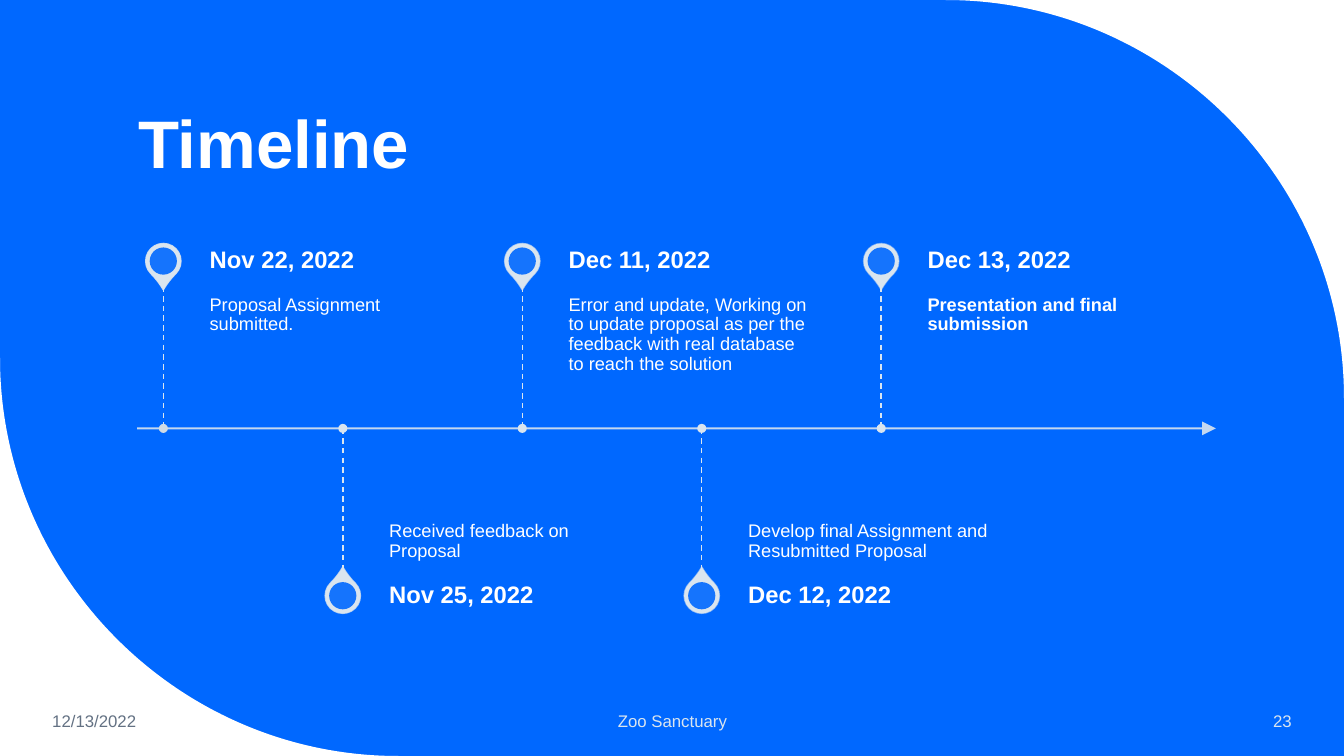
from lxml import etree
from pptx import Presentation
from pptx.dml.color import RGBColor
from pptx.enum.dml import MSO_LINE
from pptx.enum.shapes import MSO_CONNECTOR, MSO_SHAPE
from pptx.enum.text import MSO_ANCHOR, MSO_AUTO_SIZE, PP_ALIGN
from pptx.oxml.ns import qn
from pptx.util import Inches, Pt

OVAL, TEAR = MSO_SHAPE.OVAL, MSO_SHAPE.TEAR
TOP, MID, LOW = MSO_ANCHOR.TOP, MSO_ANCHOR.MIDDLE, MSO_ANCHOR.BOTTOM
LEFT, MIDST, RIGHT = PP_ALIGN.LEFT, PP_ALIGN.CENTER, PP_ALIGN.RIGHT
STRAIGHT, DASH = MSO_CONNECTOR.STRAIGHT, MSO_LINE.DASH
FIT = MSO_AUTO_SIZE.NONE

FONT = "Arial"
BLUE, WHITE, PALE, GREY, DIM = "0068FF", "FFFFFF", "DAE5EF", "637183", "D0DBE4"
WIDE, HIGH, CURVE, BEND = 13.33, 7.5, 3.95, 0.55
FIRST, STEP = 0.26, 1.78
STEM, HEAD = 1.41, 0.5

STOPS = [
    ("Nov 22, 2022", "Proposal Assignment submitted.", False),
    ("Nov 25, 2022", "Received feedback on Proposal", False),
    ("Dec 11, 2022", "Error and update, Working on to update proposal as per the "
     "feedback with real database to reach the solution", False),
    ("Dec 12, 2022", "Develop final Assignment and Resubmitted Proposal", False),
    ("Dec 13, 2022", "Presentation and final submission", True),
]


def paint(part, color, alpha=100):
    """Give a fill one solid colour, with opacity in percent."""
    part.solid()
    part.fore_color.rgb = RGBColor.from_string(color)
    if alpha < 100:
        for node in part._xPr.iter(qn("a:srgbClr")):
            etree.SubElement(node, qn("a:alpha"), val=str(alpha * 1000))


def write(shape, text, size, color, bold=False, anchor=MID, align=LEFT,
          inset=(0.1, 0.05, 0.1, 0.05), space=0.9):
    """Set the frame of a shape and add its one run."""
    frame = shape.text_frame
    frame.word_wrap, frame.auto_size = True, FIT
    frame.vertical_anchor = anchor
    (frame.margin_left, frame.margin_top,
     frame.margin_right, frame.margin_bottom) = map(Inches, inset)
    para = frame.paragraphs[0]
    para.alignment, para.line_spacing = align, space
    run = para.add_run()
    run.text = text
    run.font.name, run.font.size, run.font.bold = FONT, Pt(size), bold
    paint(run.font.fill, color)


def label(shapes, box, *args, **more):
    """Add a text box at left, top, width, height."""
    write(shapes.add_textbox(*map(Inches, box)), *args, **more)


def disc(shapes, kind, x, y, size, color, alpha=100):
    """Add a borderless shape centred on a point."""
    shape = shapes.add_shape(
        kind, Inches(x - size / 2), Inches(y - size / 2), Inches(size), Inches(size))
    shape.shadow.inherit = False
    paint(shape.fill, color, alpha)
    shape.line.fill.background()
    return shape


def rule(shapes, start, end, width, alpha=100):
    """Add a pale straight line between two points."""
    line = shapes.add_connector(STRAIGHT, *map(Inches, start + end))
    line.line.width = Pt(width)
    paint(line.line.fill, PALE, alpha)
    etree.SubElement(line._element.spPr, qn("a:effectLst"))
    return line


def corner(shapes, x, y, side):
    """Cut a round white corner at x, y; side is 1 at top right, -1 at bottom left."""
    spots = [(1, 0), (1 - BEND, 0), (0, 1 - BEND), (0, 1)]
    path = shapes.build_freeform(Inches(x), Inches(y))
    path.add_line_segments([(Inches(x - side * CURVE * across),
                             Inches(y + side * CURVE * down))
                            for across, down in spots], close=True)
    shape = path.convert_to_shape()
    steps = list(shape._element.iter(qn("a:lnTo")))[1:4]
    bow = etree.Element(qn("a:cubicBezTo"))
    steps[0].addprevious(bow)
    for step in steps:
        bow.append(step[0])
        step.getparent().remove(step)
    shape.shadow.inherit = False
    paint(shape.fill, WHITE)
    shape.line.fill.background()


def stop(shapes, x, y, index, date, note, bold):
    """Place one date at x on the axis y: even ones above, odd ones below."""
    above = index % 2 == 0
    side = -1 if above else 1
    pin_y = y + side * (STEM + HEAD / 2)
    pin = disc(shapes, TEAR, x, pin_y, 0.35, PALE)
    pin.adjustments[0] = 1.15
    pin.rotation = 135 if above else 315
    pin.line.width = Pt(1)
    paint(pin.line.fill, PALE, 90 - 10 * index)
    disc(shapes, OVAL, x, pin_y, 0.27, BLUE, 90)
    left, wide = x + 0.46, 2.53
    top = y - STEM if above else y
    inset = (0, 0.09, 0.09, 0.14) if above else (0, 0.14, 0, 0.09)
    label(shapes, (left, top, wide, STEM), note, 13, WHITE,
          bold, anchor=TOP if above else LOW, inset=inset)
    label(shapes, (left, pin_y - HEAD / 2, wide, HEAD), date, 17, WHITE, True,
          inset=(0, 0, 0.12, 0))
    stem = rule(shapes, (x, top), (x, top + STEM), 1)
    stem.line.dash_style = DASH
    disc(shapes, OVAL, x, y, 0.09, PALE if index else DIM)


def heading(slide, box, text):
    """Move and fill the title."""
    title = slide.shapes.title
    title.left, title.top, title.width, title.height = map(Inches, box)
    write(title, text, 48, WHITE, True, anchor=LOW)


def timeline(slide, left, y, wide):
    """Group the axis with its arrow and all stops."""
    shapes = slide.shapes.add_group_shape().shapes
    axis = rule(shapes, (left, y), (left + wide, y), 1.5, 90)
    etree.SubElement(axis.line._get_or_add_ln(), qn("a:tailEnd"),
                     type="triangle", w="lg", len="lg")
    for index, item in enumerate(STOPS):
        stop(shapes, left + FIRST + STEP * index, y, index, *item)


def footer(slide, top, high):
    """Write the date, the name and the page number."""
    for left, wide, text, color, align in (
            (0.42, 1.86, "12/13/2022", GREY, LEFT),
            (4.42, 4.5, "Zoo Sanctuary", PALE, MIDST),
            (11.1, 1.81, "23", PALE, RIGHT)):
        label(slide.shapes, (left, top, wide, high), text, 12, color,
              align=align, space=1.0)


def main():
    """Build and save the slide."""
    deck = Presentation()
    deck.slide_width, deck.slide_height = Inches(WIDE), Inches(HIGH)
    slide = deck.slides.add_slide(deck.slide_layouts[5])
    paint(slide.background.fill, BLUE)
    corner(slide.shapes, WIDE, 0, 1)
    corner(slide.shapes, 0, HIGH, -1)
    heading(slide, (1.27, 0.42, 10.69, 1.45), "Timeline")
    timeline(slide, 1.36, 4.25, 10.7)
    footer(slide, 6.95, 0.4)
    deck.save("out.pptx")


main()
